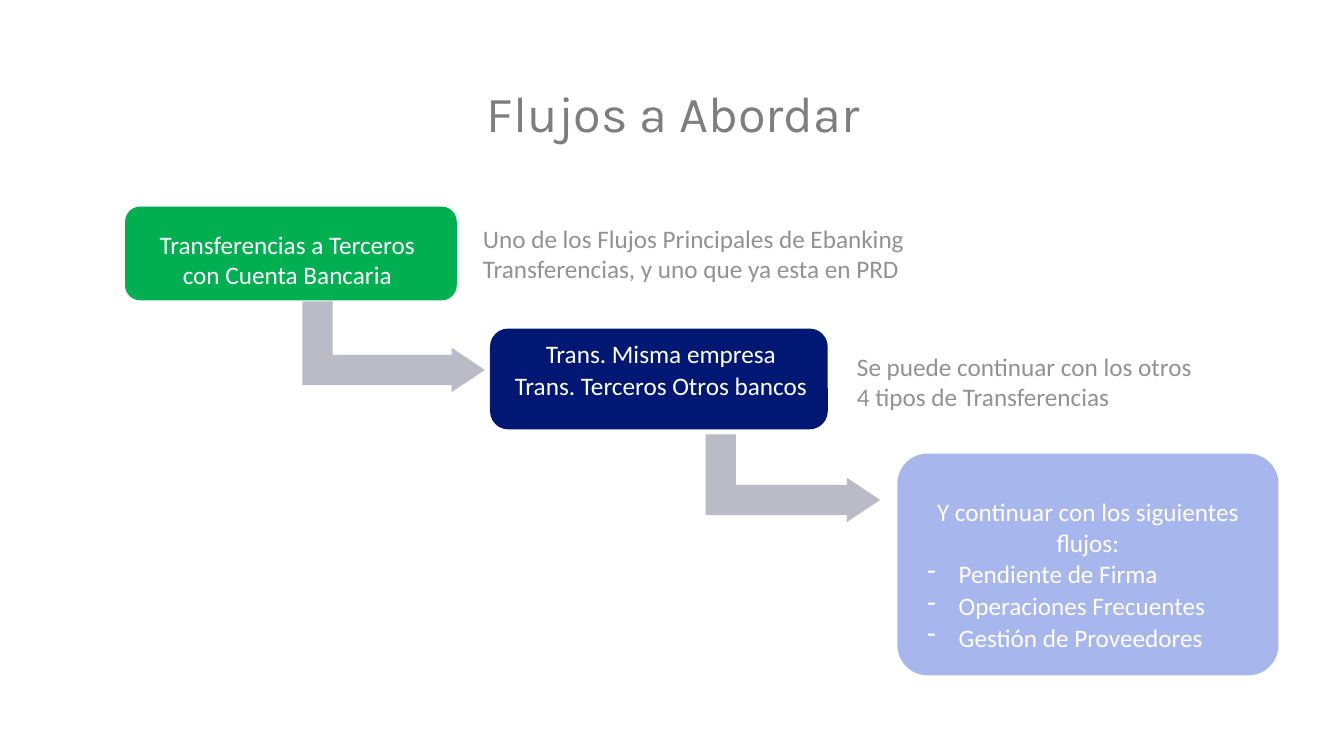
"""Build the slide that steps through the transfer flows to be covered."""
from lxml import etree
from pptx import Presentation
from pptx import util as u
from pptx.dml.color import RGBColor
from pptx.enum import shapes, text
from pptx.oxml.ns import qn

COLORS = {
    "title": "7E7E7E", "note": "929292", "card_text": "FFFFFF", "arrow": "BBBBC8",
    "green": "00AF50", "navy": "001873", "lilac": "A8B6EE",
}
TITLE = {"text": "Flujos a Abordar", "box": (4.83, 0.79, 3.75, 0.63)}
CARDS = [
    {"box": (1.24, 2.05, 3.29, 0.93), "color": "green", "radius": 0.15,
     "margins": (0.1, 0.18, 0.17, 0),
     "lines": ["Transferencias a Terceros con Cuenta Bancaria"], "bullets": []},
    {"box": (4.86, 3.26, 3.35, 1.0), "color": "navy", "radius": 0.18,
     "margins": (0.13, 0.05, 0.09, 0),
     "lines": ["Trans. Misma empresa", "Trans. Terceros Otros bancos"], "bullets": []},
    {"box": (8.9, 4.5, 3.78, 2.2), "color": "lilac", "radius": 0.3,
     "margins": (0.19, 0.34, 0.19, 0),
     "lines": ["Y continuar con los siguientes flujos:"],
     "bullets": ["Pendiente de Firma", "Operaciones Frecuentes", "Gestión de Proveedores"]},
]
NOTES = [
    ("Uno de los Flujos Principales de Ebanking Transferencias, y uno que ya esta en PRD",
     (4.79, 2.19, 4.76, 0.61)),
    ("Se puede continuar con los otros 4 tipos de Transferencias", (8.5, 3.46, 3.34, 0.61)),
]
ARROWS = [(3.0, 2.99, 1.81, 0.9), (7.0, 4.31, 1.73, 0.87)]
BAR, HEAD_LENGTH, HEAD_HEIGHT = 0.3, 0.33, 0.44
BODY_FONT, TITLE_FONT = "Calibri", "Karla"


def inches(values):
    return [u.Inches(value) for value in values]


def color(name):
    return RGBColor.from_string(COLORS[name])


def set_all(target, values):
    for name, value in values.items():
        setattr(target, name, value)


def format_frame(frame, margins, wrap=True):
    left, top, right, bottom = inches(margins)
    set_all(frame, {
        "margin_left": left, "margin_top": top, "margin_right": right,
        "margin_bottom": bottom, "word_wrap": wrap,
        "auto_size": text.MSO_AUTO_SIZE.NONE, "vertical_anchor": text.MSO_ANCHOR.TOP,
    })


def write(paragraph, words, color_name, size=18, font=BODY_FONT,
          alignment=text.PP_ALIGN.LEFT, **spacing):
    paragraph.text = words
    set_all(paragraph, {"alignment": alignment, **spacing})
    set_all(paragraph.font, {"name": font, "size": u.Pt(size)})
    paragraph.font.color.rgb = color(color_name)


def add_dash(paragraph):
    properties = paragraph._p.get_or_add_pPr()
    properties.set("marL", str(u.Inches(0.33)))
    properties.set("indent", str(u.Inches(-0.31)))
    etree.SubElement(properties, qn("a:buChar")).set("char", "-")


def paint(shape, color_name):
    shape.shadow.inherit = False
    shape.fill.solid()
    shape.fill.fore_color.rgb = color(color_name)
    shape.line.fill.background()


def add_title(slide):
    title = slide.shapes.title
    set_all(title, dict(zip(("left", "top", "width", "height"), inches(TITLE["box"]))))
    format_frame(title.text_frame, (0, 0.02, 0, 0), wrap=False)
    write(title.text_frame.paragraphs[0], TITLE["text"], "title", 36, TITLE_FONT,
          line_spacing=1.0, space_before=u.Pt(0))


def add_arrow(slide, left, top, width, height):
    tip, bottom = left + width, top + height
    neck, middle = tip - HEAD_LENGTH, bottom - HEAD_HEIGHT / 2
    bar_top, bar_bottom = middle - BAR / 2, middle + BAR / 2
    points = [
        (left + BAR, top), (left, top), (left, bar_bottom), (neck, bar_bottom),
        (neck, bottom), (tip, middle), (neck, bottom - HEAD_HEIGHT),
        (neck, bar_top), (left + BAR, bar_top),
    ]
    corners = [inches(point) for point in points]
    builder = slide.shapes.build_freeform(*corners[0])
    builder.add_line_segments(corners[1:], close=True)
    paint(builder.convert_to_shape(), "arrow")


def add_card(slide, card):
    shape = slide.shapes.add_shape(shapes.MSO_SHAPE.ROUNDED_RECTANGLE, *inches(card["box"]))
    shape.adjustments[0] = card["radius"] / min(card["box"][2:])
    paint(shape, card["color"])
    frame = shape.text_frame
    format_frame(frame, card["margins"])
    for index, words in enumerate(card["lines"] + card["bullets"]):
        paragraph = frame.add_paragraph() if index else frame.paragraphs[0]
        is_bullet = index >= len(card["lines"])
        if is_bullet:
            add_dash(paragraph)
        write(paragraph, words, "card_text",
              alignment=text.PP_ALIGN.LEFT if is_bullet else text.PP_ALIGN.CENTER,
              space_before=u.Pt(1 if index else 0))


def add_note(slide, words, box):
    frame = slide.shapes.add_textbox(*inches(box)).text_frame
    format_frame(frame, (0, 0.02, 0, 0))
    write(frame.paragraphs[0], words, "note", line_spacing=1.01)


def main():
    presentation = Presentation()
    set_all(presentation, {"slide_width": u.Inches(13.33), "slide_height": u.Inches(7.5)})
    slide = presentation.slides.add_slide(presentation.slide_layouts[5])
    add_title(slide)
    for arrow in ARROWS:
        add_arrow(slide, *arrow)
    for card in CARDS:
        add_card(slide, card)
    for words, box in NOTES:
        add_note(slide, words, box)
    presentation.save("out.pptx")


if __name__ == "__main__":
    main()
